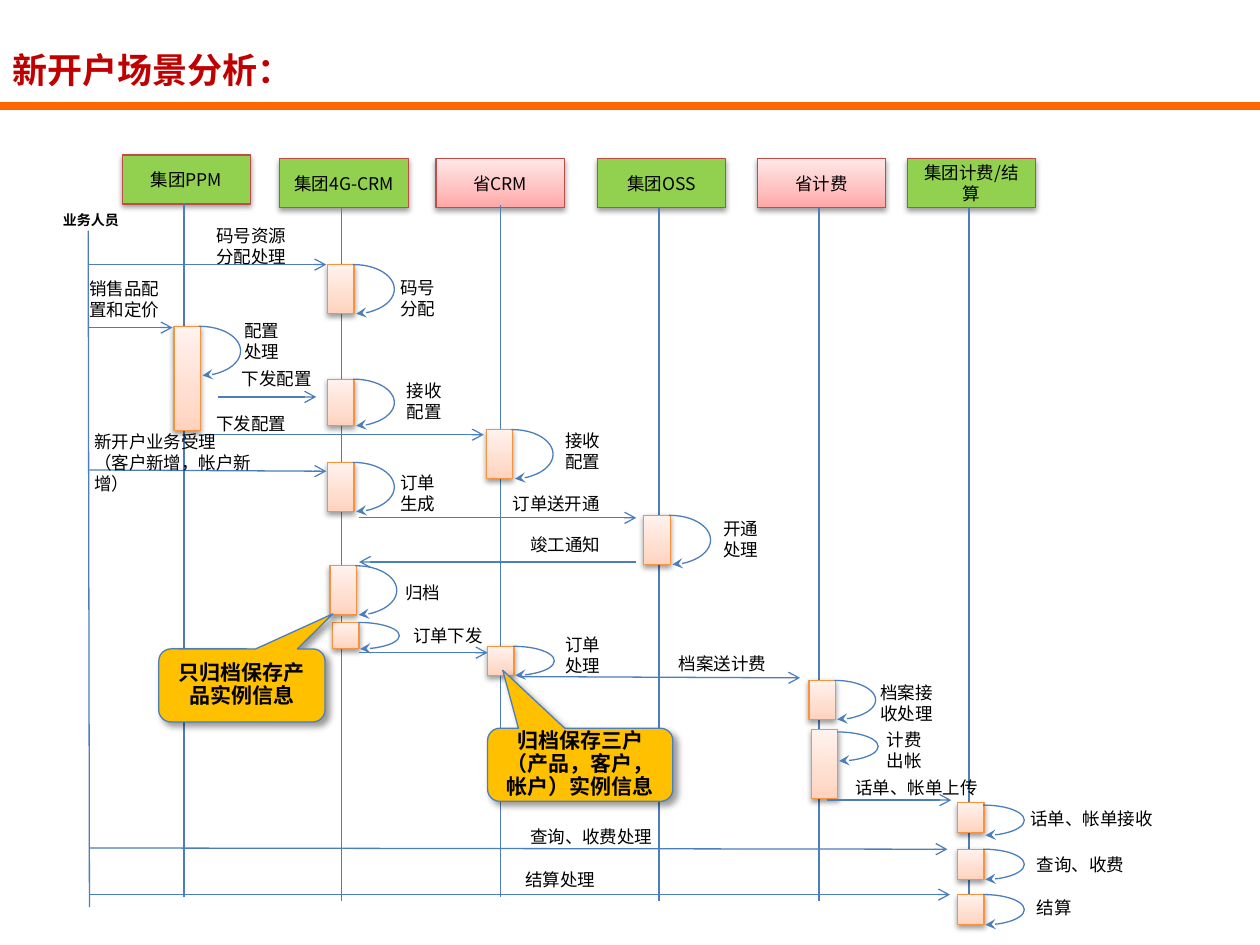
from copy import deepcopy
from pptx import Presentation
from pptx.util import Inches, Pt
from pptx.dml.color import RGBColor
from pptx.enum.shapes import MSO_SHAPE as Shape, MSO_CONNECTOR as Conn
from pptx.enum.text import PP_ALIGN as Align, MSO_ANCHOR as Anchor
from pptx.oxml import parse_xml
from pptx.oxml.ns import qn, nsdecls

FONT = "Noto Sans CJK SC"
BLUE, GREEN, GOLD, ORANGE = "4B7EBC", "92D050", "FFC000", "FF6600"
PINK = ("FFA6A5", "FFC0BF", "FFE7E7")
PEACH = ("FFD2BD", "FFDED0", "FFF2ED")
SOFT = (38, 40000, 20000, 90)
DEEP = (40, 50800, 38100, 45)

# name, left, top, fill, lifeline x, lifeline top, lifeline end
ACTORS = [
    ("集团PPM", 0.97, 1.23, GREEN, 1.46, 1.62, 7.12),
    ("集团4G-CRM", 2.22, 1.26, GREEN, 2.71, 1.65, 7.15),
    ("省CRM", 3.46, 1.26, PINK, 3.97, 1.63, 7.12),
    ("集团OSS", 4.74, 1.26, GREEN, 5.23, 1.65, 7.15),
    ("省计费", 6.01, 1.26, PINK, 6.5, 1.65, 7.15),
    ("集团计费/结算", 7.2, 1.26, GREEN, 7.69, 1.65, 7.15),
]
# bar left, bar top, bar height, loop top, loop height
STEPS = [
    (2.6, 2.1, 0.39, 2.1, 0.39),
    (1.38, 2.59, 0.83, 2.59, 0.39),
    (2.6, 3.01, 0.37, 3.01, 0.37),
    (3.86, 3.41, 0.39, 3.41, 0.39),
    (2.6, 3.67, 0.39, 3.67, 0.39),
    (5.11, 4.09, 0.39, 4.09, 0.39),
    (2.62, 4.49, 0.39, 4.49, 0.39),
    (2.64, 4.94, 0.21, 4.94, 0.21),
    (3.87, 5.13, 0.23, 5.13, 0.23),
    (6.42, 5.4, 0.31, 5.4, 0.31),
    (6.44, 5.79, 0.55, 5.81, 0.23),
    (7.6, 6.37, 0.24, 6.39, 0.24),
    (7.6, 6.74, 0.24, 6.74, 0.24),
    (7.6, 7.1, 0.24, 7.1, 0.24),
]
# from x, from y, to x, to y
CALLS = [
    (0.7, 2.1, 2.59, 2.1), (0.7, 2.6, 1.37, 2.6),
    (1.73, 3.15, 2.51, 3.15), (1.62, 3.45, 3.84, 3.45),
    (0.71, 3.73, 2.59, 3.74), (2.85, 4.11, 5.05, 4.11),
    (5.05, 4.46, 2.85, 4.46), (2.85, 5.18, 3.87, 5.18),
    (4.11, 5.37, 6.35, 5.38), (6.56, 6.35, 7.55, 6.35),
    (0.71, 6.73, 7.52, 6.74), (0.71, 7.1, 7.54, 7.1),
]
# text, left, top, width, lines
LABELS = [
    ("码号资源分配处理", 1.62, 1.74, 0.76, 2),
    ("码号分配", 3.08, 2.15, 0.57, 2),
    ("销售品配置和定价", 0.61, 2.16, 0.76, 2),
    ("配置处理", 1.84, 2.49, 0.57, 2),
    ("下发配置", 1.82, 2.87, 0.76, 1),
    ("接收配置", 3.13, 2.97, 0.57, 2),
    ("下发配置", 1.62, 3.23, 0.76, 1),
    ("接收配置", 4.39, 3.36, 0.57, 2),
    ("新开户业务受理\n（客户新增，帐户新增）", 0.65, 3.37, 1.67, 2),
    ("订单生成", 3.08, 3.7, 0.57, 2),
    ("订单送开通", 3.97, 3.86, 0.92, 1),
    ("开通处理", 5.64, 4.06, 0.57, 2),
    ("竣工通知", 4.11, 4.19, 0.89, 1),
    ("归档", 3.12, 4.57, 0.58, 1),
    ("订单下发", 3.18, 4.91, 0.94, 1),
    ("订单处理", 4.39, 4.98, 0.58, 2),
    ("档案送计费", 5.29, 5.13, 0.94, 1),
    ("档案接收处理", 6.89, 5.36, 0.71, 2),
    ("计费出帐", 6.94, 5.74, 0.57, 2),
    ("话单、帐单上传", 6.69, 6.12, 1.39, 1),
    ("话单、帐单接收", 8.08, 6.36, 1.3, 1),
    ("查询、收费处理", 4.11, 6.51, 1.21, 1),
    ("查询、收费", 8.13, 6.73, 1.03, 1),
    ("结算处理", 4.07, 6.85, 0.76, 1),
    ("结算", 8.13, 7.07, 0.69, 1),
]
# text, box, pointer
NOTES = [
    ("只归档保存产品实例信息", (1.26, 5.15, 1.32, 0.58), (0.547, -0.98)),
    ("归档保存三户（产品，客户，帐户）实例信息", (3.87, 5.78, 1.47, 0.58),
     (-0.418, -1.294)),
]


def tint(code):
    """Turn a hex string into a colour."""
    return RGBColor.from_string(code)


def write(part, text, size=10, color="000000", bold=False, align=Align.LEFT,
          anchor=Anchor.TOP, space=None, side=0.1):
    """Put formatted text into a shape."""
    frame = part.text_frame
    frame.word_wrap = True
    frame.vertical_anchor = anchor
    frame.margin_left = frame.margin_right = Inches(side)
    frame.text = text
    for para in frame.paragraphs:
        para.alignment, para.line_spacing = align, space
        for run in para.runs:
            font = run.font
            font.size, font.bold, font.name = Pt(size), bold, FONT
            font.color.rgb = tint(color)
            latin = font._element.find(qn("a:latin"))
            east = parse_xml(f'<a:ea {nsdecls("a")} typeface="{FONT}"/>')
            latin.addnext(east)


def shade(part, alpha, blur, dist, angle):
    """Give a shape an outer shadow."""
    part.shadow.inherit = False
    part._element.spPr.find(qn("a:effectLst")).append(parse_xml(
        f'<a:outerShdw {nsdecls("a")} blurRad="{blur}" dist="{dist}" '
        f'dir="{angle * 60000}" algn="ctr" rotWithShape="0">'
        f'<a:srgbClr val="000000"><a:alpha val="{alpha * 1000}"/>'
        '</a:srgbClr></a:outerShdw>'))


def paint(part, fill):
    """Fill with one colour, or with three as an upward gradient."""
    if isinstance(fill, str):
        part.fill.solid()
        part.fill.fore_color.rgb = tint(fill)
        return
    part.fill.gradient()
    part.fill.gradient_angle = 90
    stops = part._element.spPr.find(".//" + qn("a:gsLst"))
    stops.insert(1, deepcopy(stops[0]))
    for stop, code, pos in zip(part.fill.gradient_stops, fill, (0, 0.35, 1)):
        stop.color.rgb, stop.position = tint(code), pos


def head(part, kind):
    """Add an arrowhead at the end of a line."""
    part._element.spPr.find(qn("a:ln")).append(
        parse_xml(f'<a:tailEnd {nsdecls("a")} type="{kind}"/>'))


def block(kind, box, fill, edge, shadow=SOFT, adjust=()):
    """Add a filled, outlined shape with a shadow."""
    part = slide.shapes.add_shape(kind, *map(Inches, box))
    for i, value in enumerate(adjust):
        part.adjustments[i] = value
    paint(part, fill)
    part.line.color.rgb, part.line.width = tint(edge), Pt(0.75)
    shade(part, *shadow)
    return part


def wire(ends, color=BLUE, width=0.75, arrow=False):
    """Draw a straight line, with or without an arrowhead."""
    part = slide.shapes.add_connector(Conn.STRAIGHT, *map(Inches, ends))
    part.line.color.rgb, part.line.width = tint(color), Pt(width)
    if arrow:
        head(part, "arrow")
    part._element.spPr.append(parse_xml(f'<a:effectLst {nsdecls("a")}/>'))


def loop(left, top, high):
    """Draw the curved self-call beside a bar."""
    part = slide.shapes.add_shape(
        Shape.ARC, *map(Inches, (left, top, 0.64, high)))
    part.adjustments[0], part.adjustments[1] = 160.176, 50.889
    part.fill.background()
    part.line.color.rgb, part.line.width = tint(BLUE), Pt(0.75)
    part.shadow.inherit = False
    head(part, "stealth")


def label(text, left, top, wide, high, **style):
    """Add a text box."""
    part = slide.shapes.add_textbox(*map(Inches, (left, top, wide, high)))
    write(part, text, **style)


deck = Presentation()
deck.slide_width, deck.slide_height = Inches(10), Inches(7.5)
slide = deck.slides.add_slide(deck.slide_layouts[5])

title = slide.shapes.title
title.left, title.top, title.width, title.height = map(
    Inches, (0, 0.21, 9.18, 0.71))
write(title, "新开户场景分析：", size=20, color="C00000", bold=True,
      anchor=Anchor.MIDDLE, space=0.95)
wire((0, 0.84, 10, 0.84), ORANGE, 4.5)

wire((0.7, 1.83, 0.71, 7.2))
label("业务人员", 0.4, 1.63, 0.71, 0.24, size=8, bold=True)
for name, left, top, fill, x, start, end in ACTORS:
    actor = block(Shape.RECTANGLE, (left, top, 1.02, 0.39), fill, "BF4C48")
    write(actor, name, align=Align.CENTER, anchor=Anchor.MIDDLE, side=0.09)
    wire((x, start, x, end))

for left, top, high, turn, drop in STEPS:
    block(Shape.RECTANGLE, (left, top, 0.21, high), PEACH, "F69240")
    loop(left - 0.11, turn, drop)
for ends in CALLS:
    wire(ends, arrow=True)
for text, left, top, wide, rows in LABELS:
    label(text, left, top, wide, 0.1 + 0.17 * rows)

for text, box, tip in NOTES:
    note = block(Shape.ROUNDED_RECTANGULAR_CALLOUT, box, GOLD, BLUE, DEEP,
                 (*tip, 0.167))
    write(note, text, size=12, bold=True, align=Align.CENTER,
          anchor=Anchor.MIDDLE, space=0.9)

deck.save("out.pptx")
